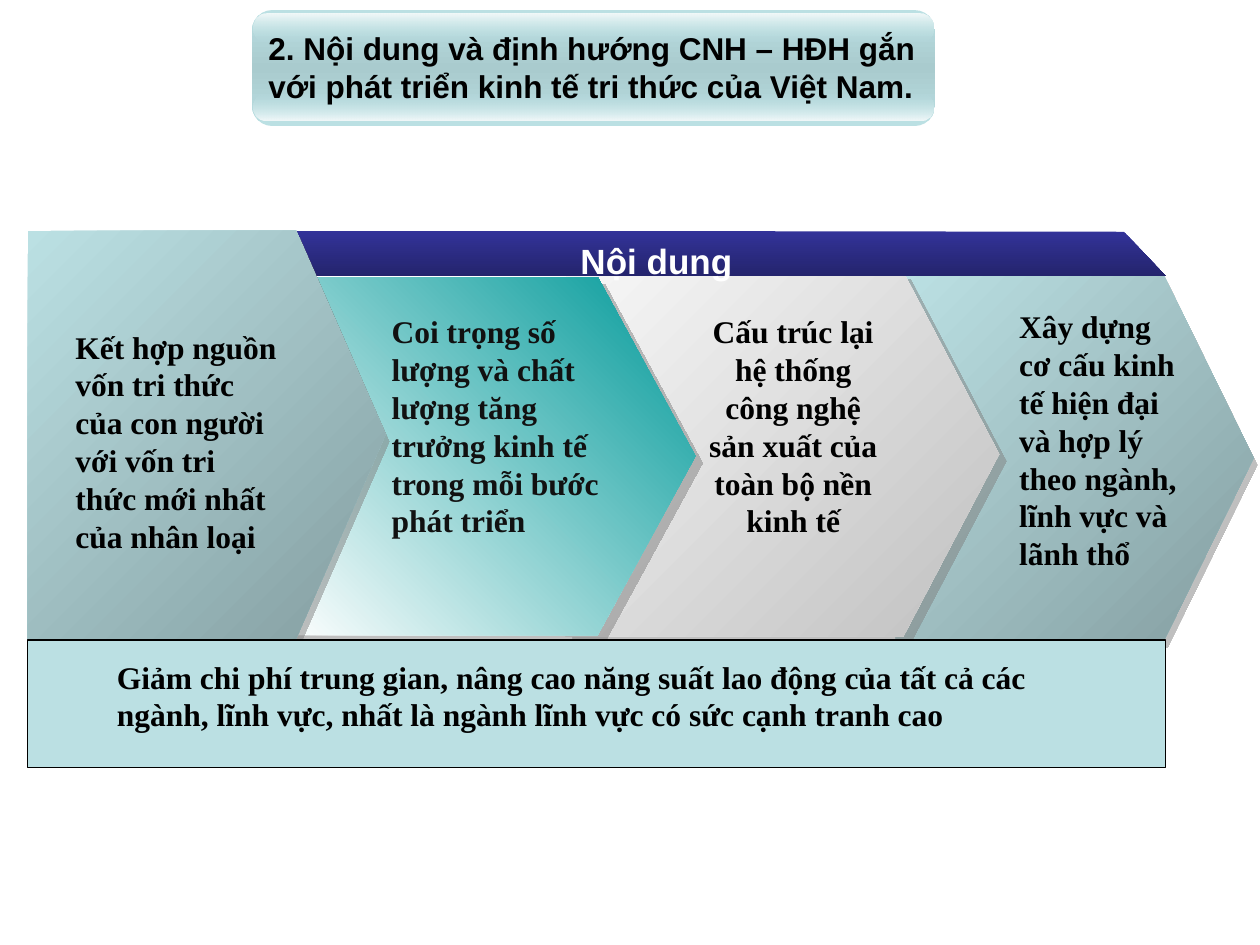
"""Build the slide on content and direction of industrialisation."""
from dataclasses import dataclass
from typing import Optional

from pptx import Presentation
from pptx import util as u
from pptx.dml import color
from pptx.enum import shapes, text
from pptx.oxml import ns, xmlchemy as xc

Box = tuple[float, float, float, float]
SERIF = "Times New Roman"
PALE = "BBE0E3"
STEEL = ((0, PALE, 100), (100, "849EA1", 100))


@dataclass
class Plate:
    box: Box
    adj: float
    stops: tuple
    angle: int = 45
    shade: Optional[tuple[float, int]] = None
    kind: shapes.MSO_SHAPE = shapes.MSO_SHAPE.PENTAGON


@dataclass
class Label:
    box: Box
    words: str
    face: str = SERIF
    size: int = 18
    hue: str = "000000"
    align: text.PP_ALIGN = text.PP_ALIGN.LEFT


def rgb(code: str) -> color.RGBColor:
    return color.RGBColor.from_string(code)


def inch(box: tuple) -> list:
    return [u.Inches(n) for n in box]


def node(parent, tag: str, **attrs):
    item = xc.OxmlElement(tag)
    for key, val in attrs.items():
        item.set(key, str(val))
    parent.append(item)
    return item


def tint(parent, code: str, alpha: int) -> None:
    hue = node(parent, "a:srgbClr", val=code)
    if alpha < 100:
        node(hue, "a:alpha", val=alpha * 1000)


def blend(shape, stops: tuple, angle: int) -> None:
    shape.line.fill.background()
    shape.shadow.inherit = False
    shape.fill.gradient()
    grad = shape._element.spPr.find(ns.qn("a:gradFill"))
    for child in list(grad):
        grad.remove(child)
    row = node(grad, "a:gsLst")
    for pos, code, alpha in stops:
        tint(node(row, "a:gs", pos=pos * 1000), code, alpha)
    node(grad, "a:lin", ang=angle * 60000, scaled=0)


def draw(tree, plate: Plate) -> None:
    shape = tree.add_shape(plate.kind, *inch(plate.box))
    shape.adjustments[0] = plate.adj
    blend(shape, plate.stops, plate.angle)
    if plate.shade:
        dist, way = plate.shade
        effect = shape._element.spPr.find(ns.qn("a:effectLst"))
        cast = node(effect, "a:outerShdw", blurRad=0, dist=u.Pt(dist),
                    dir=way * 60000, algn="ctr", rotWithShape=0)
        tint(cast, "808080", 50)


def write(shape, label: Label) -> None:
    spots = zip(("left", "top", "width", "height"), inch(label.box))
    for key, val in spots:
        setattr(shape, key, val)
    frame = shape.text_frame
    look = {"word_wrap": True, "vertical_anchor": text.MSO_ANCHOR.TOP,
            "auto_size": text.MSO_AUTO_SIZE.SHAPE_TO_FIT_TEXT}
    for key, val in look.items():
        setattr(frame, key, val)
    para = frame.paragraphs[0]
    para.alignment = label.align
    run = para.add_run()
    run.text = label.words
    for key, val in {"name": label.face, "size": u.Pt(label.size), "bold": True}.items():
        setattr(run.font, key, val)
    run.font.color.rgb = rgb(label.hue)


def band(tree, points: list[tuple[float, float]]) -> None:
    first, *rest = [tuple(inch(spot)) for spot in points]
    path = tree.build_freeform(*first)
    path.add_line_segments(rest, close=True)
    blend(path.convert_to_shape(), ((0, "333399", 100), (100, "24246D", 100)), 90)


STEPS = [
    Plate((7.11, 2.19, 2.84, 2.89), 0.25, STEEL, shade=(4.5, 63)),
    Plate((4.49, 2.16, 3.44, 2.89), 0.263,
          ((0, "F7F7F7", 100), (100, "C0C0C0", 100)), shade=(5.7, 45)),
    Plate((2.22, 2.2, 3.3, 2.84), 0.273,
          ((0, "FFFFFF", 100), (100, "009999", 100)), 315, (5.7, 45)),
]
FIRST = Plate((0.22, 1.83, 2.84, 3.24), 0.25, STEEL, shade=(4.5, 63))
ROUND = shapes.MSO_SHAPE.ROUNDED_RECTANGLE
BADGE = [
    Plate((2, 0.08, 5.42, 0.92), 0.175,
          ((0, PALE, 100), (50, "A9CBCE", 100), (100, PALE, 100)), 90, kind=ROUND),
    Plate((2.01, 0.74, 5.4, 0.22), 0.5,
          ((0, PALE, 0), (100, "F3F9FA", 100)), 90, kind=ROUND),
    Plate((2.01, 0.11, 5.4, 0.22), 0.5,
          ((0, "F2F9F9", 100), (100, PALE, 0)), 90, kind=ROUND),
]
TITLE = Label((2.03, 0.18, 5.35, 0.71),
              "2. Nội dung và định hướng CNH – HĐH gắn với phát triển "
              "kinh tế tri thức của Việt Nam.", "Arial")
LABELS = [
    Label((0.5, 2.55, 1.81, 1.92), "Kết hợp nguồn vốn tri thức của con người "
          "với vốn tri thức mới nhất của nhân loại"),
    Label((3.3, 1.85, 3.82, 0.43), "Nội dung", "Arial", 20, "FFFFFF",
          text.PP_ALIGN.CENTER),
    Label((5.47, 2.43, 1.65, 1.92), "Cấu trúc lại hệ thống công nghệ sản xuất "
          "của toàn bộ nền kinh tế", align=text.PP_ALIGN.CENTER),
    Label((3.01, 2.43, 2.16, 1.92), "Coi trọng số lượng và chất lượng tăng "
          "trưởng kinh tế trong mỗi bước phát triển", hue="111111"),
    Label((7.99, 2.39, 1.46, 2.22), "Xây dựng cơ cấu kinh tế hiện đại và hợp lý "
          "theo ngành, lĩnh vực và lãnh thổ"),
    Label((0.83, 5.17, 8.03, 1.01), "Giảm chi phí trung gian, nâng cao năng suất "
          "lao động của tất cả các ngành, lĩnh vực, nhất là ngành lĩnh vực "
          "có sức cạnh tranh cao"),
]


def main() -> None:
    deck = Presentation()
    deck.slide_width, deck.slide_height = u.Inches(10), u.Inches(7.5)
    tree = deck.slides.add_slide(deck.slide_layouts[5]).shapes
    for plate in STEPS:
        draw(tree, plate)
    band(tree, [(2.2, 1.83), (2.38, 2.19), (9.25, 2.19), (8.92, 1.84)])
    for plate in [FIRST, *BADGE]:
        draw(tree, plate)
    base = tree.add_shape(shapes.MSO_SHAPE.RECTANGLE, *inch((0.22, 5.08, 9.03, 1.01)))
    base.shadow.inherit = False
    base.fill.solid()
    base.fill.fore_color.rgb = rgb(PALE)
    base.line.color.rgb = rgb("000000")
    base.line.width = u.Pt(0.75)
    title = tree.title
    write(title, TITLE)
    base._element.addnext(title._element)
    for label in LABELS:
        write(tree.add_textbox(*inch(label.box)), label)
    deck.save("out.pptx")


if __name__ == "__main__":
    main()
